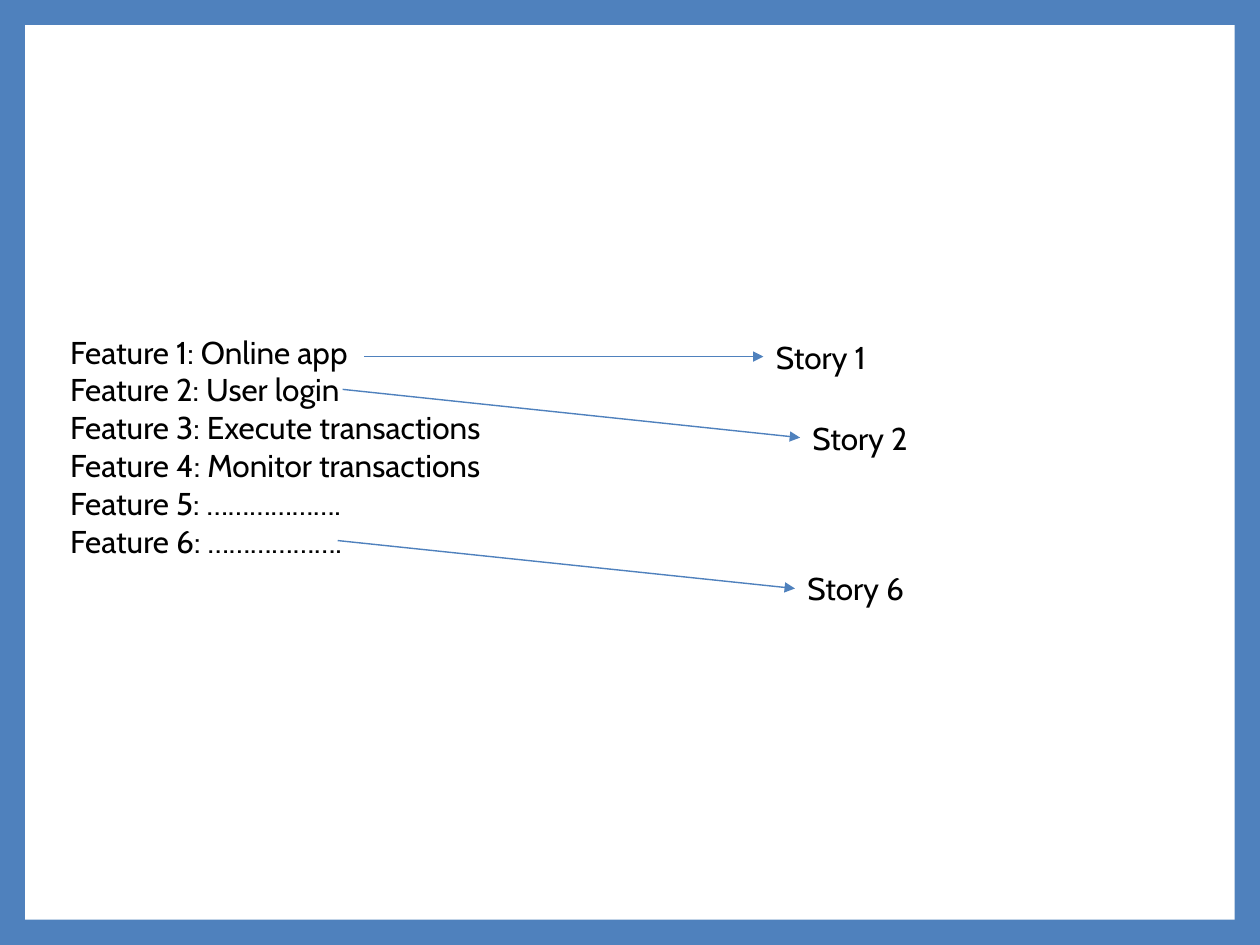
from dataclasses import dataclass

from lxml import etree
from pptx import Presentation
from pptx.dml.color import RGBColor
from pptx.enum.shapes import MSO_CONNECTOR, MSO_SHAPE
from pptx.enum.text import MSO_AUTO_SIZE
from pptx.oxml.ns import qn
from pptx.shapes.autoshape import Shape
from pptx.slide import Slide
from pptx.util import Pt

RECTANGLE = MSO_SHAPE.RECTANGLE
STRAIGHT = MSO_CONNECTOR.STRAIGHT
FIT_SHAPE = MSO_AUTO_SIZE.SHAPE_TO_FIT_TEXT
LEFT_SIDE = 1
BLANK_LAYOUT = 6
SLIDE_WIDTH, SLIDE_HEIGHT = 720, 540
BORDER = 14.4
LABEL_HEIGHT = 28.8


@dataclass(frozen=True)
class Theme:
    accent: RGBColor = RGBColor(0x4F, 0x81, 0xBD)
    panel: RGBColor = RGBColor(0xFF, 0xFF, 0xFF)
    text: RGBColor = RGBColor(0, 0, 0)
    font: str = "Cabin"
    text_size: float = 18
    arrow_width: float = 0.79


@dataclass(frozen=True)
class Story:
    label: str
    left: float
    top: float
    width: float
    arrow_x: float
    arrow_y: float
    wrap: bool = True


THEME = Theme()
FEATURES = ["Online app", "User login", "Execute transactions",
            "Monitor transactions", "……………….", "………………."]
STORIES = [
    Story("Story 1", 436.3, 189.4, 67, 208.1, 203.8, wrap=False),
    Story("Story 2", 457.2, 235.7, 77, 195.8, 222.5),
    Story("Story 6", 454.3, 321.9, 77, 193, 308.9),
]


def add_text(slide: Slide, lines: list[str], left: float, top: float,
             width: float, height: float, wrap: bool = True) -> Shape:
    box = slide.shapes.add_textbox(Pt(left), Pt(top), Pt(width), Pt(height))
    frame = box.text_frame
    frame.word_wrap = wrap
    frame.auto_size = FIT_SHAPE
    frame.text = "\n".join(lines)
    for paragraph in frame.paragraphs:
        paragraph.font.name = THEME.font
        paragraph.font.size = Pt(THEME.text_size)
        paragraph.font.color.rgb = THEME.text
    return box


def add_story(slide: Slide, story: Story) -> None:
    """Add a story label and the arrow that leads to it from its feature."""
    label = add_text(slide, [story.label], story.left, story.top,
                     story.width, LABEL_HEIGHT, story.wrap)
    arrow = slide.shapes.add_connector(
        STRAIGHT, Pt(story.arrow_x), Pt(story.arrow_y),
        Pt(story.left), Pt(story.top + LABEL_HEIGHT / 2))
    arrow.end_connect(label, LEFT_SIDE)
    arrow.line.color.rgb = THEME.accent
    arrow.line.width = Pt(THEME.arrow_width)
    etree.SubElement(arrow.line._get_or_add_ln(), qn("a:tailEnd"), type="triangle")
    etree.SubElement(arrow._element.spPr, qn("a:effectLst"))


def add_panel(slide: Slide) -> None:
    panel = slide.shapes.add_shape(
        RECTANGLE, Pt(BORDER), Pt(BORDER),
        Pt(SLIDE_WIDTH - 2 * BORDER), Pt(SLIDE_HEIGHT - 2 * BORDER))
    panel.shadow.inherit = False
    panel.fill.solid()
    panel.fill.fore_color.rgb = THEME.panel
    panel.line.fill.background()


def main() -> None:
    deck = Presentation()
    deck.slide_width, deck.slide_height = Pt(SLIDE_WIDTH), Pt(SLIDE_HEIGHT)
    slide = deck.slides.add_slide(deck.slide_layouts[BLANK_LAYOUT])
    slide.background.fill.solid()
    slide.background.fill.fore_color.rgb = THEME.accent

    add_panel(slide)
    features = [f"Feature {number}: {name}"
                for number, name in enumerate(FEATURES, start=1)]
    add_text(slide, features, 33, 186.5, 310.3, 138.2)
    for story in STORIES:
        add_story(slide, story)
    deck.save("out.pptx")


if __name__ == "__main__":
    main()
